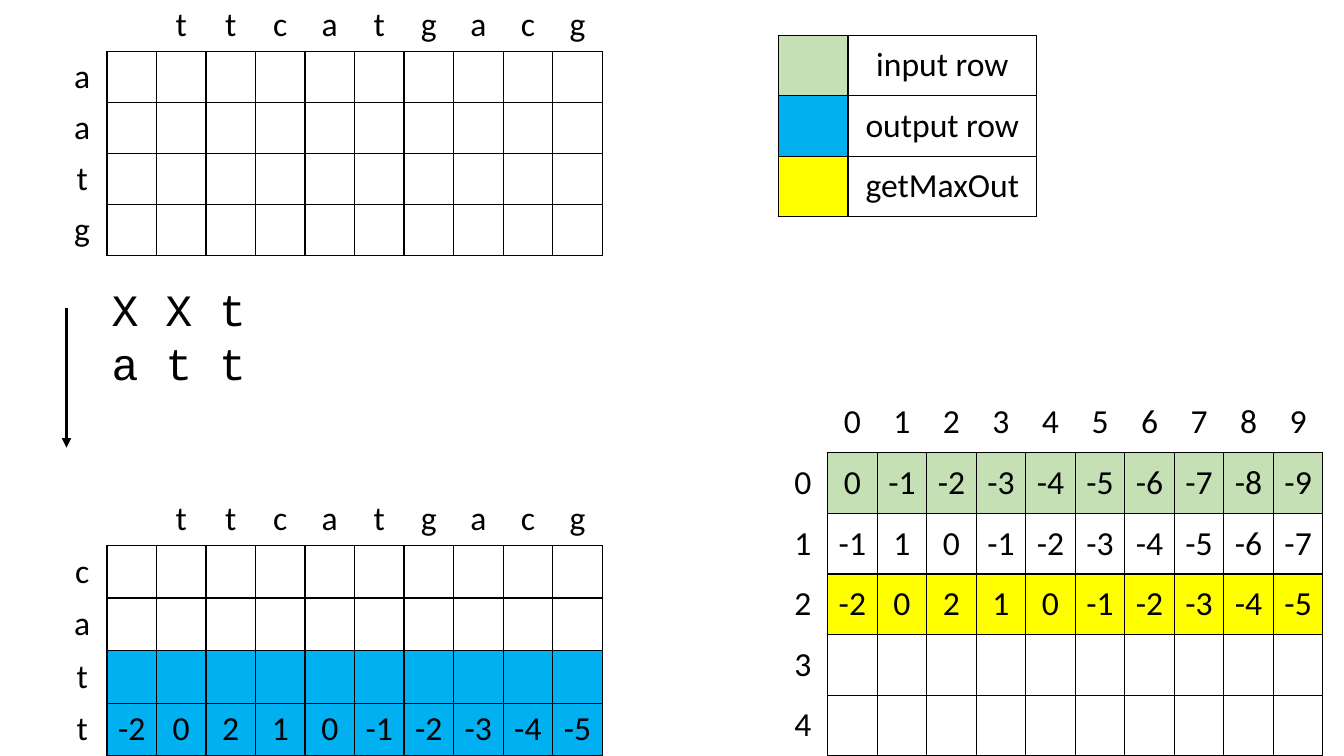
from dataclasses import dataclass

from lxml import etree
from pptx import Presentation
from pptx.dml.color import RGBColor
from pptx.enum.shapes import MSO_CONNECTOR
from pptx.enum.text import MSO_ANCHOR, PP_ALIGN
from pptx.oxml.ns import qn
from pptx.util import Pt

STRAIGHT = MSO_CONNECTOR.STRAIGHT
MIDDLE = MSO_ANCHOR.MIDDLE
CENTER = PP_ALIGN.CENTER
PLAIN_TABLE = "{2D5ABB26-0587-4C30-8999-92F81FD0307C}"


@dataclass(frozen=True)
class Theme:
    ink: str = "000000"
    input_row: str = "C5E0B4"
    output_row: str = "00B0F0"
    max_out: str = "FFFF00"
    font: str = "Calibri"
    code_font: str = "Courier New"
    size: int = 24
    code_size: int = 32
    border: int = 1
    arrow: float = 2.25


class Board:
    def __init__(self, slide, theme):
        self.s, self.theme = slide, theme

    def add_text(self, p, text, font, size):
        r = p.add_run()
        r.text = text
        style = {"name": font, "size": Pt(size)}
        for key, value in style.items():
            setattr(r.font, key, value)
        r.font.color.rgb = RGBColor.from_string(self.theme.ink)

    def set_borders(self, cell, sides):
        tc_pr = cell._tc.get_or_add_tcPr()
        for side in sides:
            ln = etree.SubElement(tc_pr, qn(f"a:ln{side}"), w=str(Pt(self.theme.border)))
            fill = etree.SubElement(ln, qn("a:solidFill"))
            etree.SubElement(fill, qn("a:srgbClr"), val=self.theme.ink)

    def table(self, x, y, widths, row_height, rows, fills, labelled=True):
        """Draw rows of text; a labelled table has an open first row and column."""
        frame = self.s.shapes.add_table(
            len(rows), len(widths), Pt(x), Pt(y),
            Pt(sum(widths)), Pt(row_height * len(rows)))
        table = frame.table
        table.first_row = table.horz_banding = False
        table._tbl.tblPr.find(qn("a:tableStyleId")).text = PLAIN_TABLE
        for column, width in zip(table.columns, widths):
            column.width = Pt(width)
        for i, row in enumerate(rows):
            table.rows[i].height = Pt(row_height)
            for j in range(len(widths)):
                cell = table.cell(i, j)
                in_header, in_labels = labelled and i == 0, labelled and j == 0
                if in_header:
                    sides = "" if in_labels else "B"
                else:
                    sides = "R" if in_labels else "LRTB"
                self.set_borders(cell, sides)
                color = fills.get((i, j), None if in_labels else fills.get(i))
                if color:
                    cell.fill.solid()
                    cell.fill.fore_color.rgb = RGBColor.from_string(color)
                else:
                    cell.fill.background()
                cell.vertical_anchor = MIDDLE
                if j < len(row) and row[j]:
                    p = cell.text_frame.paragraphs[0]
                    p.alignment = CENTER
                    self.add_text(p, row[j], self.theme.font, self.theme.size)

    def code(self, x, y, w, h, lines):
        tf = self.s.shapes.add_textbox(Pt(x), Pt(y), Pt(w), Pt(h)).text_frame
        tf.word_wrap = True
        for i, line in enumerate(lines):
            p = tf.add_paragraph() if i else tf.paragraphs[0]
            self.add_text(p, line, self.theme.code_font, self.theme.code_size)

    def arrow(self, x1, y1, x2, y2):
        sp = self.s.shapes.add_connector(STRAIGHT, Pt(x1), Pt(y1), Pt(x2), Pt(y2))
        sp.line.width = Pt(self.theme.arrow)
        sp.line.color.rgb = RGBColor.from_string(self.theme.ink)
        etree.SubElement(sp.line._get_or_add_ln(), qn("a:tailEnd"), type="triangle")
        etree.SubElement(sp._element.spPr, qn("a:effectLst"))


def main():
    prs = Presentation()
    prs.slide_width, prs.slide_height = Pt(960), Pt(540)
    theme = Theme()
    board = Board(prs.slides.add_slide(prs.slide_layouts[6]), theme)

    left, right = 41, 555.8
    columns = [35.4] * 11
    sequence = ["", "", *"ttcatgacg"]
    last_scores = ["-2", "0", "2", "1", "0", "-1", "-2", "-3", "-4", "-5"]

    # First alignment grid
    board.table(left, 0, columns, 36.4, [sequence, *"aatg"], {})

    # Score matrix
    scores = [
        ["", *map(str, range(10))],
        ["0", *(str(-n) for n in range(10))],
        ["1", "-1", "1", *(str(-n) for n in range(8))],
        ["2", *last_scores],
        ["3"],
        ["4"],
    ]
    board.table(right, 280.1, columns, 43.3, scores,
                {1: theme.input_row, 3: theme.max_out})

    # Second alignment grid with the output rows
    board.table(left, 352.1, columns, 37.55,
                [sequence, "c", "a", "t", ["t", *last_scores]],
                {3: theme.output_row, 4: theme.output_row})

    # Aligned letters and the arrow between the grids
    board.code(72.7, 198, 396, 85, ["X X t", "a t t"])
    board.arrow(47.5, 220.3, 47.5, 319.7)

    # Legend
    legend = {
        "input row": theme.input_row,
        "output row": theme.output_row,
        "getMaxOut": theme.max_out,
    }
    board.table(right, 25.2, [49.9, 134.8], 43.2,
                [["", name] for name in legend],
                {(i, 0): color for i, color in enumerate(legend.values())},
                labelled=False)

    prs.save("out.pptx")


if __name__ == "__main__":
    main()
